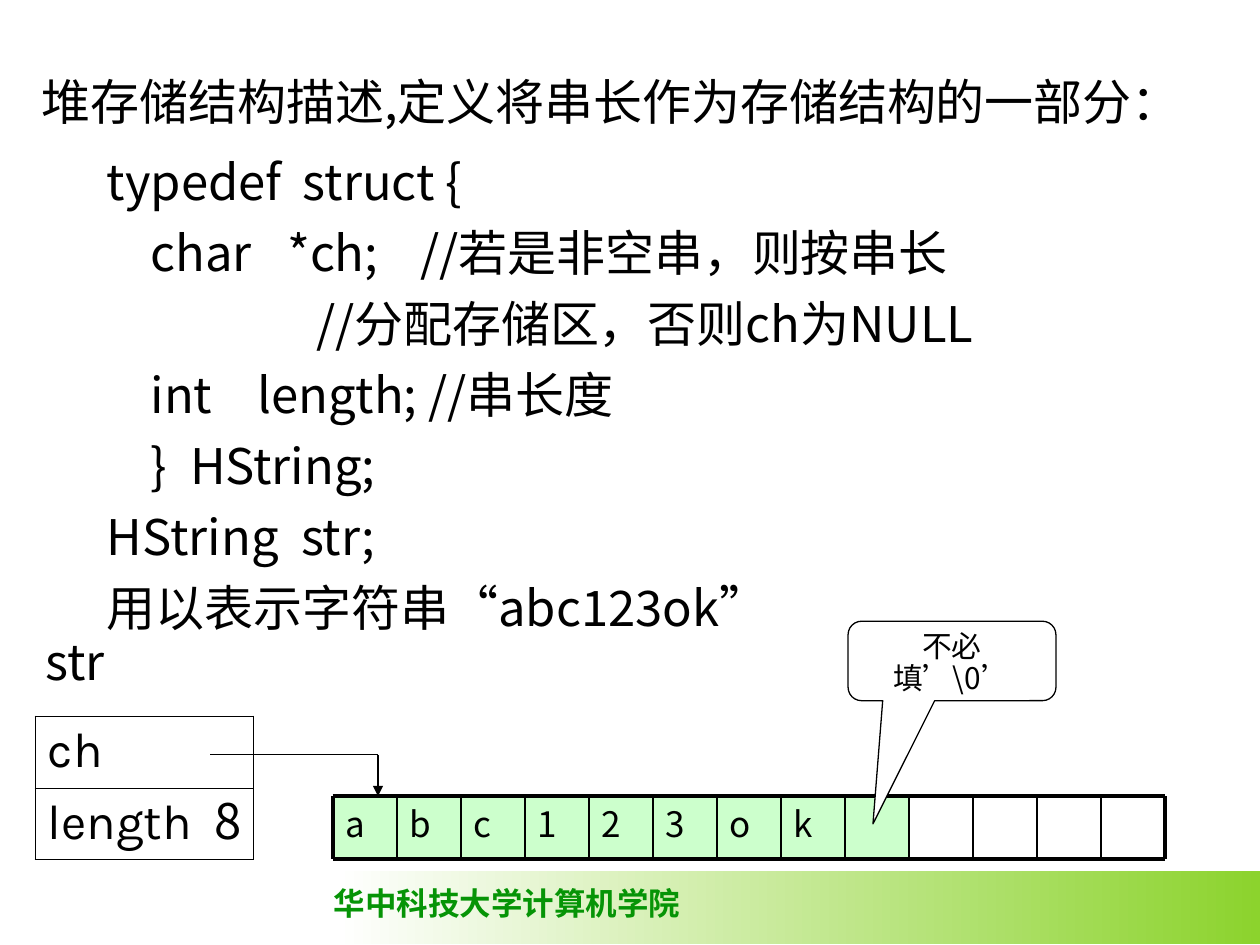
"""Build a slide on heap storage of strings, with its struct and memory diagram."""
from lxml import etree
from pptx import Presentation
from pptx import util as u
from pptx.dml import color
from pptx.enum import shapes, text
from pptx.oxml import ns

COLOURS = {"ink": "000000", "paper": "FFFFFF", "used": "CCFFCC",
           "band": "8CD32D", "school": "069406"}
SANS = "Noto Sans CJK SC"
CODE = [
    ("typedef\tstruct {", [112]),
    ("\tchar\t*ch;\t//若是非空串，则按串长", [25, 103, 179]),
    ("\t//分配存储区，否则ch为NULL", [119.5]),
    ("\tint\tlength; //串长度", [25, 86]),
    ("\t}\tHString;", [25, 47.5]),
    ("HString\tstr;", [111]),
]
LETTERS = "abc123ok"
SLOTS = 13
ROW_LEFT, ROW_TOP, PITCH, ROW_HEIGHT = 190.1, 455, 36.6, 36


def rgb(name):
    """Return the named colour."""
    return color.RGBColor.from_string(COLOURS[name])


def points(*values):
    """Convert numbers to lengths in points."""
    return [u.Pt(value) for value in values]


def style(para, size, name=SANS, ink="ink", bold=False, before=0):
    """Set the font and the space before a paragraph."""
    para.space_before = u.Pt(before)
    font = para.font
    font.size, font.name, font.bold = u.Pt(size), name, bold
    font.color.rgb = rgb(ink)


def set_tabs(para, stops):
    """Give a paragraph left tab stops."""
    tabs = etree.SubElement(para._p.get_or_add_pPr(), ns.qn("a:tabLst"))
    for stop in stops:
        etree.SubElement(tabs, ns.qn("a:tab"), pos=str(u.Pt(stop)), algn="l")


def add_quoted(para, lead, word):
    """Write a lead and a quoted word whose marks are in Arial."""
    for part, name in ((lead, SANS), (word[0], "Arial"),
                       (word[1:-1], SANS), (word[-1], "Arial")):
        span = para.add_run()
        span.text, span.font.name = part, name


def add_label(page, at, content, size, inset=0, middle=False, wrap=True, **look):
    """Add a text box with one paragraph."""
    frame = page.shapes.add_textbox(*points(*at)).text_frame
    frame.word_wrap = wrap
    frame.margin_left = u.Pt(inset)
    if middle:
        frame.vertical_anchor = text.MSO_ANCHOR.MIDDLE
    para = frame.paragraphs[0]
    para.text = content
    style(para, size, **look)


def add_box(page, at, fill=None, kind=shapes.MSO_SHAPE.RECTANGLE):
    """Add a flat shape without outline."""
    box = page.shapes.add_shape(kind, *points(*at))
    box.shadow.inherit = False
    box.line.fill.background()
    if fill:
        box.fill.solid()
        box.fill.fore_color.rgb = rgb(fill)
    box.text_frame.word_wrap = True
    box.text_frame.vertical_anchor = text.MSO_ANCHOR.TOP
    return box


def add_line(page, start, end, width, arrow=False):
    """Add a straight line, with an arrowhead at its end if asked."""
    line = page.shapes.add_connector(
        shapes.MSO_CONNECTOR.STRAIGHT, *points(*start, *end))
    line.line.width = u.Pt(width)
    line.line.color.rgb = rgb("ink")
    if arrow:
        etree.SubElement(line.line._get_or_add_ln(), ns.qn("a:tailEnd"), type="triangle")
    etree.SubElement(line._element.spPr, ns.qn("a:effectLst"))


def add_footer(page):
    """Add the gradient band and the school name."""
    band = add_box(page, (192.2, 497.5, 527.8, 42))
    band.fill.gradient()
    band.fill.gradient_angle = 0
    for stop, name in zip(band.fill.gradient_stops, ("paper", "band")):
        stop.color.rgb = rgb(name)
    add_label(page, (183.6, 501.8, 212.4, 28.8), "华中科技大学计算机学院", 18,
              inset=7.2, wrap=False, name="Times New Roman", ink="school", bold=True)


def add_code(page):
    """Add the type definition and the sample string."""
    frame = page.shapes.add_textbox(*points(54, 82.8, 646.6, 284.4)).text_frame
    frame.word_wrap = True
    for index, (content, stops) in enumerate(CODE):
        para = frame.add_paragraph() if index else frame.paragraphs[0]
        para.text = content
        set_tabs(para, stops)
        style(para, 28, before=7)
    para = frame.add_paragraph()
    add_quoted(para, "用以表示字符串", "“abc123ok”")
    style(para, 28, before=7)


def add_memory(page):
    """Add the row of memory slots, the used ones filled."""
    edges = [ROW_LEFT + PITCH * index for index in range(SLOTS + 1)]
    bottom = ROW_TOP + ROW_HEIGHT
    for index, left in enumerate(edges[:len(LETTERS) + 1]):
        slot = add_box(page, (left, ROW_TOP, PITCH, ROW_HEIGHT), "used")
        if index < len(LETTERS):
            para = slot.text_frame.paragraphs[0]
            para.text = LETTERS[index]
            para.alignment = text.PP_ALIGN.LEFT
            style(para, 20, before=5)
    for y in (ROW_TOP, bottom):
        add_line(page, (edges[0], y), (edges[-1], y), 2.25)
    for x in edges:
        add_line(page, (x, ROW_TOP), (x, bottom), 2.25 if x in (edges[0], edges[-1]) else 1)


def set_borders(cell, widths):
    """Draw the left, right, top and bottom borders of a cell."""
    for index, (side, width) in enumerate(zip("LRTB", widths)):
        edge = etree.Element(ns.qn(f"a:ln{side}"), w=str(u.Pt(width)))
        fill = etree.SubElement(edge, ns.qn("a:solidFill"))
        etree.SubElement(fill, ns.qn("a:srgbClr"), val=COLOURS["ink"])
        cell._tc.get_or_add_tcPr().insert(index, edge)


def add_struct(page):
    """Add the table of the struct members."""
    table = page.shapes.add_table(2, 1, *points(20.2, 409.4, 124.6, 81.6)).table
    table.first_row = table.horz_banding = False
    rows = (("ch", (1.08, 1.08, 1.08, 0.45)), ("length", (1.08, 1.08, 0.45, 1.08)))
    for index, (member, widths) in enumerate(rows):
        cell = table.cell(index, 0)
        cell.fill.background()
        cell.text = member
        style(cell.text_frame.paragraphs[0], 28, name="Karla", before=7)
        set_borders(cell, widths)


def add_callout(page):
    """Add the remark that points at the slot after the string."""
    note = add_box(page, (484.6, 355, 118.8, 45.4), "paper",
                   shapes.MSO_SHAPE.ROUNDED_RECTANGULAR_CALLOUT)
    for index, value in enumerate((-0.38, 2.05, 0.17)):
        note.adjustments[index] = value
    note.line.width = u.Pt(0.75)
    note.line.color.rgb = rgb("ink")
    para = note.text_frame.paragraphs[0]
    para.alignment = text.PP_ALIGN.CENTER
    para.line_spacing = 0.9
    add_quoted(para, "不必填", "’\\0’")
    style(para, 17, before=5)


def main():
    """Build and save the deck."""
    deck = Presentation()
    deck.slide_width, deck.slide_height = points(720, 540)
    page = deck.slides.add_slide(deck.slide_layouts[6])
    add_footer(page)
    add_label(page, (25.9, 349.2, 56.2, 56.9), "str", 28, middle=True)
    add_memory(page)
    add_label(page, (23.8, 37.4, 684, 41), "堆存储结构描述,定义将串长作为存储结构的一部分：", 28)
    add_code(page)
    add_struct(page)
    add_line(page, (120.2, 431.3), (216, 431.3), 0.75)
    add_line(page, (216, 431.3), (216, ROW_TOP), 0.75, arrow=True)
    add_label(page, (122.4, 439.9, 56.2, 56.9), "8", 28, middle=True)
    add_callout(page)
    deck.save("out.pptx")


if __name__ == "__main__":
    main()
